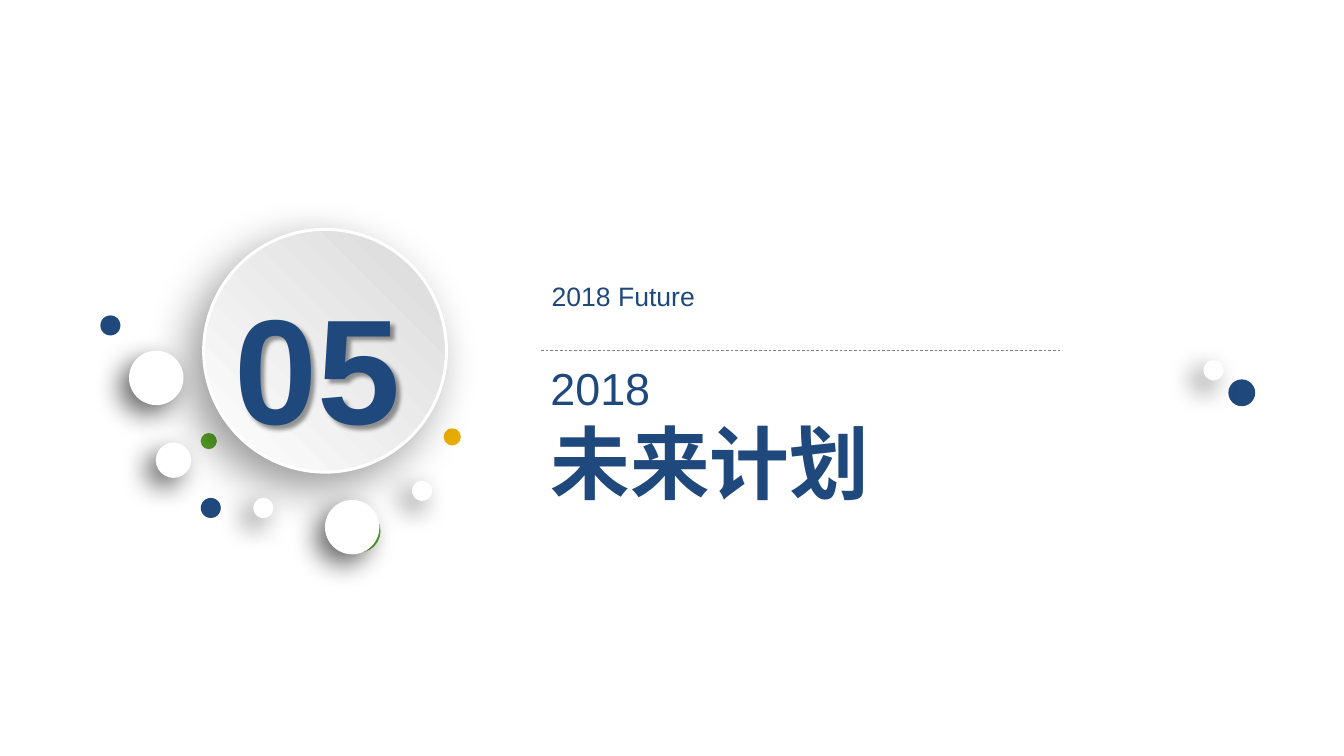
from lxml import etree
from pptx import Presentation
from pptx.dml.color import RGBColor
from pptx.enum import dml, shapes, text
from pptx.oxml import ns
from pptx.util import Pt

NAVY = RGBColor(0x1F, 0x49, 0x7D)
GREEN = RGBColor(0x58, 0xA5, 0x27)
AMBER = RGBColor(0xEA, 0xAE, 0x00)
WHITE = RGBColor(0xFF, 0xFF, 0xFF)
SILVER = RGBColor(0xD9, 0xD9, 0xD9)
GREY = RGBColor(0x80, 0x80, 0x80)

deck = Presentation()
deck.slide_width, deck.slide_height = Pt(1012.3), Pt(569.5)
slide = deck.slides.add_slide(deck.slide_layouts[6])


def add_effects(shape, shadow=None):
    """Give the shape an effect list; shadow is (opacity %, blur, distance, angle)."""
    effects = etree.SubElement(shape._element.spPr, ns.qn("a:effectLst"))
    if shadow:
        opacity, blur, distance, angle = shadow
        outer = etree.SubElement(
            effects, ns.qn("a:outerShdw"), blurRad=str(Pt(blur)),
            dist=str(Pt(distance)), dir=str(angle * 60000),
            algn="ctr", rotWithShape="0")
        black = etree.SubElement(outer, ns.qn("a:srgbClr"), val="000000")
        etree.SubElement(black, ns.qn("a:alpha"), val=str(opacity * 1000))


def add_circle(left, top, size, color=None, shadow=None):
    circle = slide.shapes.add_shape(
        shapes.MSO_SHAPE.OVAL, Pt(left), Pt(top), Pt(size), Pt(size))
    if color is not None:
        circle.fill.solid()
        circle.fill.fore_color.rgb = color
    circle.line.fill.background()
    add_effects(circle, shadow)
    return circle


# Coloured dots
for left, top, size, color in [
    (75.6, 237.6, 15.1, NAVY),
    (151.2, 375.1, 15.1, NAVY),
    (151.2, 326.2, 12.2, GREEN),
    (334.1, 322.6, 13, AMBER),
    (254.2, 383.8, 32.4, GREEN),
    (925.2, 285.8, 20.2, NAVY),
]:
    add_circle(left, top, size, color)

# Large number disc
disc = add_circle(153.4, 172.8, 182.9, shadow=(40, 35, 15, 135))
disc.fill.gradient()
disc.fill.gradient_angle = 45
for stop, color in zip(disc.fill.gradient_stops, (WHITE, SILVER)):
    stop.color.rgb = color
disc.line.color.rgb = WHITE
disc.line.width = Pt(2.25)

# White bubbles
for left, top, size in [
    (117.4, 333.4, 26.6),
    (97.2, 264.2, 41),
    (244.8, 376.6, 41),
    (190.8, 375.1, 15.1),
    (310.3, 362.2, 15.1),
    (906.5, 271.4, 15.1),
]:
    add_circle(left, top, size, WHITE, (60, 20, 10, 135))

# Section number, title and English caption: each line is (wording, size, bold)
LEFT, RIGHT = text.PP_ALIGN.LEFT, text.PP_ALIGN.RIGHT
TOP, MIDDLE = text.MSO_ANCHOR.TOP, text.MSO_ANCHOR.MIDDLE
labels = [
    ((169.2, 193, 141.8, 143.3), [("05", 112.5, True)], LEFT,
     {"word_wrap": True, "vertical_anchor": TOP,
      "margin_top": Pt(14), "margin_bottom": 0}, (40, 3, 4, 45)),
    ((407.5, 267.1, 257, 121), [("2018", 33.8, False), ("未来计划", 60, True)], LEFT,
     {"word_wrap": False, "vertical_anchor": MIDDLE}, None),
    ((407.5, 207.4, 123.1, 31.7), [("2018 Future", 20, False)], RIGHT,
     {"word_wrap": False, "vertical_anchor": TOP}, None),
]
for box, lines, align, frame_format, shadow in labels:
    label = slide.shapes.add_textbox(*map(Pt, box))
    frame = label.text_frame
    for name, value in frame_format.items():
        setattr(frame, name, value)
    frame.text = "\n".join(wording for wording, _, _ in lines)
    for paragraph, (_, size, bold) in zip(frame.paragraphs, lines):
        paragraph.alignment = align
        font = paragraph.runs[0].font
        for name, value in {"name": "Arial", "size": Pt(size), "bold": bold}.items():
            setattr(font, name, value)
        font.color.rgb = NAVY
    if shadow:
        add_effects(label, shadow)

# Dashed divider
divider = slide.shapes.add_connector(
    shapes.MSO_CONNECTOR.STRAIGHT, Pt(407.5), Pt(264.2), Pt(798.5), Pt(264.2))
divider.line.color.rgb = GREY
divider.line.width = Pt(0.5)
divider.line.dash_style = dml.MSO_LINE.DASH
add_effects(divider)

deck.save("out.pptx")
